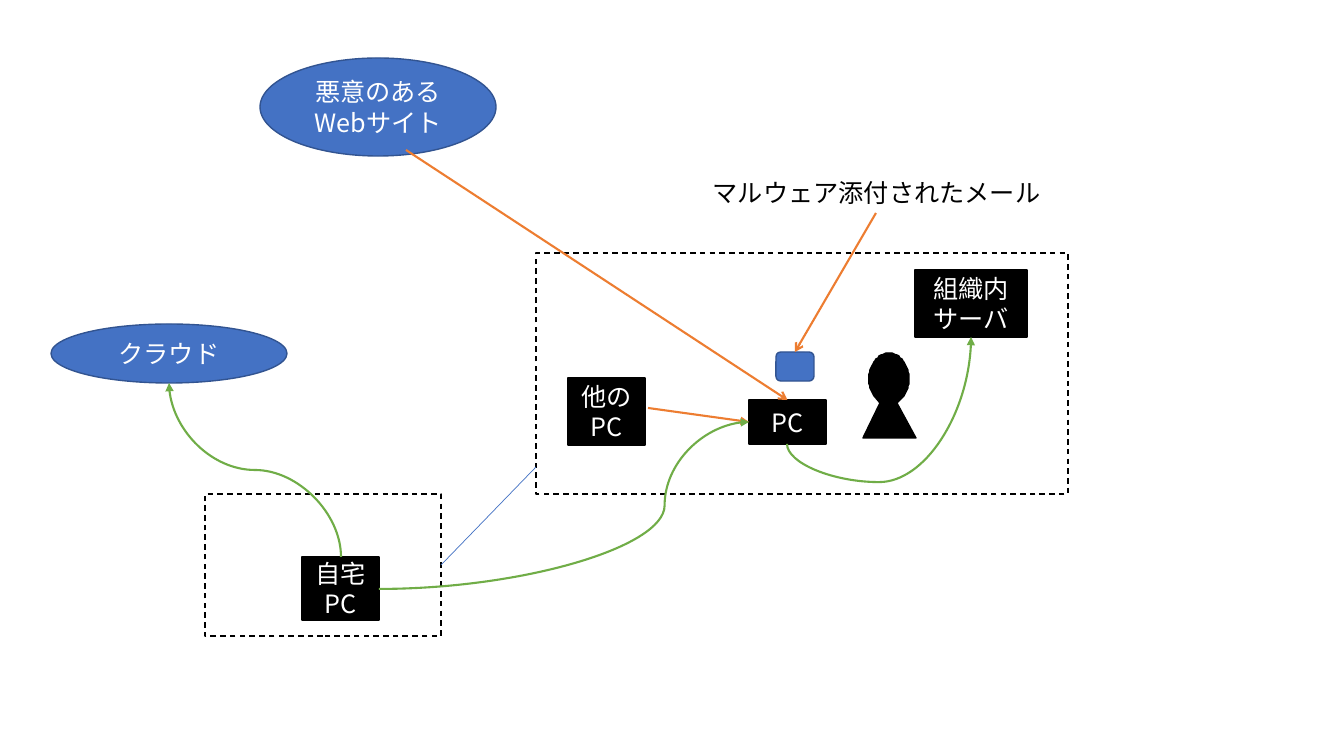
"""Build a slide that maps malware routes into an office network."""
from math import cos, radians, sin

from lxml.etree import SubElement
from pptx import Presentation
from pptx.dml.color import RGBColor
from pptx.enum.dml import MSO_LINE
from pptx.enum.shapes import MSO_CONNECTOR as Link, MSO_SHAPE as Kind
from pptx.enum.text import MSO_ANCHOR, MSO_AUTO_SIZE, PP_ALIGN
from pptx.oxml.ns import qn
from pptx.util import Pt

PX = 914400 / 100.8
FONT = "Noto Sans CJK JP"
BLACK, WHITE, BLUE, NAVY = "000000", "FFFFFF", "4472C4", "325491"
ORANGE, GREEN = "ED7D31", "70AD47"

AREAS = {"office": (536, 253, 532, 241), "home": (205, 494, 236, 142)}
MACHINES = {
    "pc": ((749, 400, 77, 44), "PC"),
    "home pc": ((302, 557, 77, 63), "自宅PC"),
    "other pc": ((568, 378, 77, 67), "他のPC"),
    "server": ((915, 270, 112, 67), "組織内サーバ"),
}
SERVICES = {
    "cloud": (Kind.OVAL, (51, 324, 236, 59), ["クラウド"]),
    "site": (Kind.OVAL, (260, 58, 236, 98), ["悪意のある", "Webサイト"]),
    "mail": (Kind.ROUNDED_RECTANGLE, (776, 352, 38, 29), []),
}
CAPTION = ((701, 172, 351, 40), "マルウェア添付されたメール")
HEAD = (889, 379, 20, 26)
BODY = [(880, 403), (863, 438), (916, 438), (897, 403)]
ATTACKS = [
    ((876, 213), "mail", 0, "arrow"),
    ((406, 150), "pc", 0, "arrow"),
    ((648, 408), "pc", 1, "triangle"),
]
ACCESSES = [
    ((787, 444), (971, 337), 90, ("flipH", "flipV"), -35700),
    ((379, 589), (749, 422), 0, ("flipV",), 77200),
    ((341, 557), (169, 383), 270, ("flipV",), 50000),
]


def emu(values):
    return [round(value * PX) for value in values]


def color(code):
    return RGBColor.from_string(code)


def paint(shape, fill, line, dashed=False):
    shape.shadow.inherit = False
    shape.fill.solid()
    shape.fill.fore_color.rgb = color(fill)
    shape.line.color.rgb = color(line)
    shape.line.width = Pt(1)
    if dashed:
        shape.line.dash_style = MSO_LINE.DASH


def write(shape, lines, code):
    frame = shape.text_frame
    frame.vertical_anchor = MSO_ANCHOR.MIDDLE
    for index, line in enumerate(lines):
        para = frame.add_paragraph() if index else frame.paragraphs[0]
        para.alignment = PP_ALIGN.CENTER
        span = para.add_run()
        span.text = line
        span.font.size = Pt(18)
        span.font.name = FONT
        span.font.color.rgb = color(code)
        SubElement(span.font._element, qn("a:ea"), typeface=FONT)


def add_box(page, kind, place, lines, fill, line, dashed=False):
    box = page.shapes.add_shape(kind, *emu(place))
    paint(box, fill, line, dashed)
    write(box, lines, WHITE)
    return box


def add_link(page, kind, start, end, code, width, tip=None):
    link = page.shapes.add_connector(kind, *emu(start + end))
    link.line.color.rgb = color(code)
    link.line.width = Pt(width)
    if tip:
        SubElement(link.line._get_or_add_ln(), qn("a:tailEnd"), type=tip)
    SubElement(link.element.spPr, qn("a:effectLst"))
    return link


def add_curve(page, start, end, turn, flips, bend):
    (x1, y1), (x2, y2) = start, end
    width, height = abs(x2 - x1), abs(y2 - y1)
    if turn:
        width, height = height, width
    left, top = (x1 + x2 - width) / 2, (y1 + y2 - height) / 2
    curve = add_link(page, Link.CURVE, (left, top),
                     (left + width, top + height), GREEN, 1.5, "triangle")
    frame = curve.element.spPr.find(qn("a:xfrm"))
    frame.set("rot", str(turn * 60000))
    for flip in flips:
        frame.set(flip, "1")
    guides = curve.element.spPr.find(qn("a:prstGeom")).find(qn("a:avLst"))
    SubElement(guides, qn("a:gd"), name="adj1", fmla=f"val {bend}")


def add_person(page):
    x, y, across, down = HEAD
    angles = [radians(45 - step) for step in range(0, 271, 5)]
    outline = [(x + across * cos(a), y + down * sin(a)) for a in angles] + BODY
    builder = page.shapes.build_freeform(*outline[0], scale=PX)
    builder.add_line_segments(outline[1:], close=True)
    paint(builder.convert_to_shape(), BLACK, BLACK)


def main():
    deck = Presentation()
    deck.slide_width, deck.slide_height = emu((1344, 756))
    page = deck.slides.add_slide(deck.slide_layouts[6])

    boxes = {}
    for name, place in AREAS.items():
        boxes[name] = add_box(page, Kind.RECTANGLE, place, [], WHITE, BLACK, True)
    add_person(page)
    for name, (place, label) in MACHINES.items():
        boxes[name] = add_box(page, Kind.RECTANGLE, place, [label], BLACK, BLACK)
    for name, (kind, place, lines) in SERVICES.items():
        boxes[name] = add_box(page, kind, place, lines, BLUE, NAVY)

    place, label = CAPTION
    caption = page.shapes.add_textbox(*emu(place))
    caption.text_frame.word_wrap = False
    caption.text_frame.auto_size = MSO_AUTO_SIZE.SHAPE_TO_FIT_TEXT
    write(caption, [label], BLACK)

    network = add_link(page, Link.STRAIGHT, (441, 565), (536, 467), BLUE, 0.5)
    network.begin_connect(boxes["home"], 3)
    for start, target, side, tip in ATTACKS:
        attack = add_link(page, Link.STRAIGHT, start, start, ORANGE, 1.5, tip)
        attack.end_connect(boxes[target], side)
    for access in ACCESSES:
        add_curve(page, *access)

    deck.save("out.pptx")


if __name__ == "__main__":
    main()
